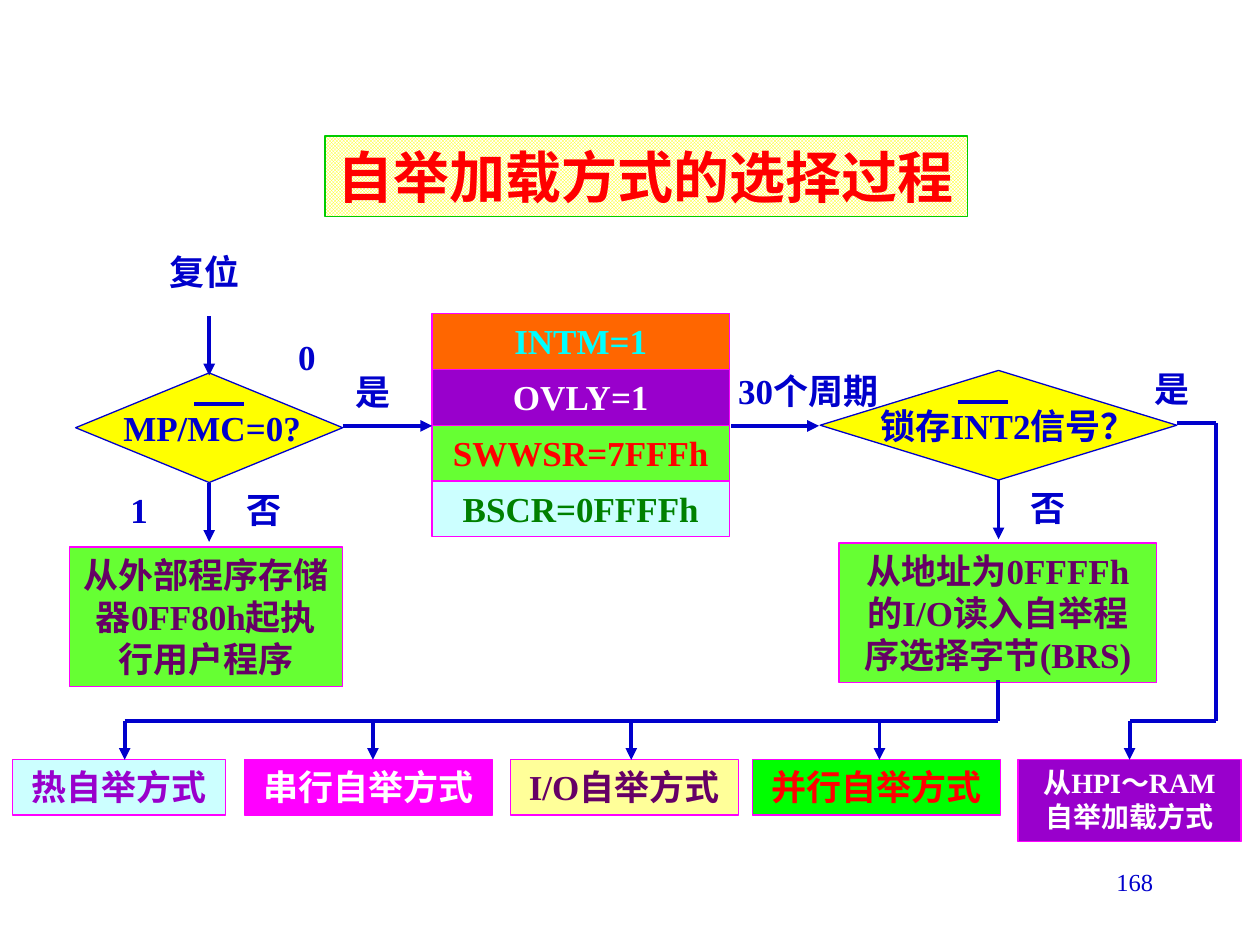
from lxml.etree import SubElement
from pptx import Presentation
from pptx.dml.color import RGBColor
from pptx.enum.dml import MSO_PATTERN
from pptx.enum.shapes import MSO_CONNECTOR, MSO_SHAPE
from pptx.enum.text import MSO_ANCHOR, MSO_AUTO_SIZE, PP_ALIGN
from pptx.oxml.ns import qn
from pptx.util import Inches, Pt

WHITE = RGBColor(0xFF, 0xFF, 0xFF)
BLUE = RGBColor(0x00, 0x00, 0xCC)
RED = RGBColor(0xFF, 0x00, 0x00)
YELLOW = RGBColor(0xFF, 0xFF, 0x00)
PALE_YELLOW = RGBColor(0xFF, 0xFF, 0x99)
MAGENTA = RGBColor(0xFF, 0x00, 0xFF)
ORANGE = RGBColor(0xFF, 0x66, 0x00)
VIOLET = RGBColor(0x99, 0x00, 0xCC)
PLUM = RGBColor(0x66, 0x00, 0x66)
LIME = RGBColor(0x66, 0xFF, 0x33)
GREEN = RGBColor(0x00, 0xFF, 0x00)
MID_GREEN = RGBColor(0x00, 0xCC, 0x00)
DARK_GREEN = RGBColor(0x00, 0x80, 0x00)
CYAN = RGBColor(0x00, 0xFF, 0xFF)
ICE = RGBColor(0xCC, 0xFF, 0xFF)

LATIN, HAN = "Times New Roman", "Noto Sans CJK SC"

# The slide is a grid of 100 columns and 75 rows of square cells.
COLUMNS, ROWS = 100, 75
CELL = Inches(0.1)
TEXT_ROW = 4.4
BUS_ROW, MODE_ROW = 57.2, 60.3


def cells(*counts):
    return [round(count * CELL) for count in counts]


def write(shape, text, color=BLUE, size=20, bold=True, align=PP_ALIGN.CENTER,
          latin=LATIN, wrap=True):
    frame = shape.text_frame
    frame_format = {"word_wrap": wrap, "vertical_anchor": MSO_ANCHOR.TOP,
                    "auto_size": MSO_AUTO_SIZE.SHAPE_TO_FIT_TEXT}
    for key, value in frame_format.items():
        setattr(frame, key, value)
    paragraph = frame.paragraphs[0]
    paragraph.alignment = align
    run = paragraph.add_run()
    run.text = text
    for key, value in {"size": Pt(size), "bold": bold, "name": latin}.items():
        setattr(run.font, key, value)
    run.font.color.rgb = color
    SubElement(run.font._element, qn("a:ea"), typeface=HAN)


def label(slide, box, text, **style):
    write(slide.shapes.add_textbox(*cells(*box)), text, **style)


def block(slide, box, fill, line=MAGENTA, kind=MSO_SHAPE.RECTANGLE):
    shape = slide.shapes.add_shape(kind, *cells(*box))
    shape.shadow.inherit = False
    if fill is not None:
        shape.fill.solid()
        shape.fill.fore_color.rgb = fill
    shape.line.color.rgb = line
    shape.line.width = Pt(0.75)
    return shape


def connect(slide, start, end, arrow=False):
    line = slide.shapes.add_connector(MSO_CONNECTOR.STRAIGHT, *cells(*start, *end))
    line.line.color.rgb = BLUE
    line.line.width = Pt(2.25)
    properties = line._element.spPr
    if arrow:
        SubElement(properties.find(qn("a:ln")), qn("a:tailEnd"), type="triangle")
    SubElement(properties, qn("a:effectLst"))


def title(slide, box, text):
    banner = block(slide, box, None, MID_GREEN)
    banner.fill.patterned()
    banner.fill.pattern = MSO_PATTERN.SMALL_CHECKER_BOARD
    banner.fill.fore_color.rgb = YELLOW
    banner.fill.back_color.rgb = WHITE
    write(banner, text, color=RED, size=32, align=PP_ALIGN.LEFT, latin=HAN, wrap=False)


def registers(slide, box, settings):
    left, top, width, height = box
    row = height / len(settings)
    for index, (text, fill, color) in enumerate(settings):
        write(block(slide, (left, top + index * row, width, row), fill), text, color=color)


def decision(slide, box, question, inset, bar, yes, no, outcome, outcome_box):
    """Diamond with an overlined question; yes and no are label offsets from its left."""
    left, top, width, height = box
    center, bottom = left + width / 2, top + height
    block(slide, box, YELLOW, BLUE, MSO_SHAPE.DIAMOND)
    label(slide, (left + inset, top + 2.2, width - inset - 1.6, TEXT_ROW),
          question, align=PP_ALIGN.LEFT)
    bar_row = top + 2.5
    connect(slide, (left + bar, bar_row), (left + bar + 4, bar_row))
    label(slide, (left + yes, top - 0.7, 6, TEXT_ROW), "是")
    label(slide, (left + no, bottom, 6.3, TEXT_ROW), "否")
    connect(slide, (center, bottom), (center, bottom + 4.7), arrow=True)
    write(block(slide, outcome_box, LIME), outcome, color=PLUM)


def mode_box(slide, box, text, fill, color, stem, size=20):
    write(block(slide, box, fill), text, color=color, size=size)
    connect(slide, (stem, BUS_ROW), (stem, box[1]), arrow=True)


def boot_modes(slide, row, trunk, modes):
    """Modes under one horizontal line, fed by the trunk from above."""
    for left, width, stem, text, fill, color in modes:
        mode_box(slide, (left, row, width, TEXT_ROW), text, fill, color, stem)
    connect(slide, (modes[0][2], BUS_ROW), (trunk, BUS_ROW))
    connect(slide, (trunk, 54), (trunk, BUS_ROW))


def host_branch(slide, box, start, side):
    left, top, width, height = box
    stem = left + width / 2
    mode_box(slide, box, "从HPI～RAM自举加载方式", VIOLET, WHITE, stem, size=16)
    corners = [start, (side, start[1]), (side, BUS_ROW), (stem, BUS_ROW)]
    for here, there in zip(corners, corners[1:]):
        connect(slide, here, there)


def main():
    deck = Presentation()
    deck.slide_width, deck.slide_height = cells(COLUMNS, ROWS)
    slide = deck.slides.add_slide(deck.slide_layouts[6])

    title(slide, (25.8, 10.8, 51, 6.4), "自举加载方式的选择过程")
    registers(slide, (34.3, 24.9, 23.6, 17.7), [
        ("INTM=1", ORANGE, CYAN),
        ("OVLY=1", VIOLET, WHITE),
        ("SWWSR=7FFFh", LIME, RED),
        ("BSCR=0FFFFh", ICE, DARK_GREEN),
    ])
    decision(slide, (6, 29.6, 21.2, 8.7), "MP/MC=0?", 2.8, 9.4, 20.6, 11.8,
             "从外部程序存储器0FF80h起执行用户程序", (5.5, 43.4, 21.7, 11.1))
    decision(slide, (65.1, 29.4, 28.3, 8.7), "锁存INT2信号？", 3.8, 10.9, 24.9, 14.9,
             "从地址为0FFFFh的I/O读入自举程序选择字节(BRS)", (66.6, 43.1, 25.2, 11.1))

    label(slide, (11.5, 19.4, 9.4, TEXT_ROW), "复位")
    label(slide, (21.2, 26.1, 6.3, TEXT_ROW), "0")
    label(slide, (7.9, 38.3, 6.3, TEXT_ROW), "1")
    label(slide, (55.9, 28.8, 16.5, TEXT_ROW), "30个周期")
    connect(slide, (16.6, 25.1), (16.6, 29.8), arrow=True)
    for start, end in [(27.2, 34.3), (58, 65)]:
        connect(slide, (start, 33.8), (end, 33.8), arrow=True)

    boot_modes(slide, MODE_ROW, 79.2, [
        (1, 16.9, 9.9, "热自举方式", ICE, VIOLET),
        (19.4, 19.7, 29.6, "串行自举方式", MAGENTA, WHITE),
        (40.5, 18.1, 50.1, "I/O自举方式", PALE_YELLOW, PLUM),
        (59.7, 19.7, 69.8, "并行自举方式", GREEN, RED),
    ])
    host_branch(slide, (80.8, MODE_ROW, 17.7, 6.5), (93.4, 33.6), 96.5)
    label(slide, (71.7, 68.3, 20.8, 5), "168", size=14, bold=False, align=PP_ALIGN.RIGHT)
    deck.save("out.pptx")


if __name__ == "__main__":
    main()
